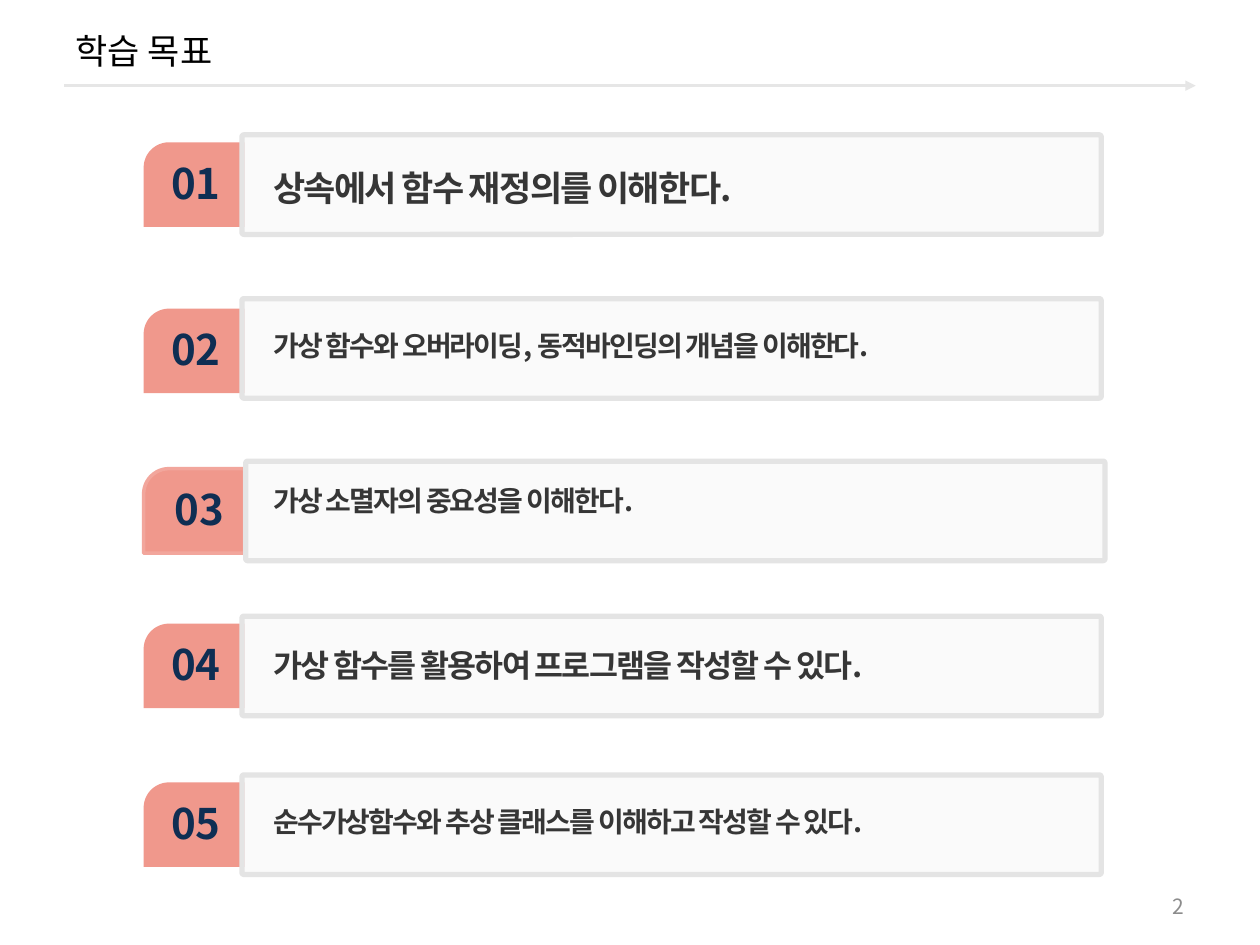
from lxml import etree
from pptx import Presentation
from pptx.dml.color import RGBColor
from pptx.enum.shapes import MSO_CONNECTOR, MSO_SHAPE
from pptx.enum.text import MSO_ANCHOR, MSO_AUTO_SIZE, PP_ALIGN
from pptx.oxml.ns import qn
from pptx.util import Inches, Pt

STRAIGHT = MSO_CONNECTOR.STRAIGHT
TAB, CARD = MSO_SHAPE.SNIP_ROUND_RECTANGLE, MSO_SHAPE.ROUNDED_RECTANGLE
TOP, MIDDLE = MSO_ANCHOR.TOP, MSO_ANCHOR.MIDDLE
LEFT, CENTER, RIGHT = PP_ALIGN.LEFT, PP_ALIGN.CENTER, PP_ALIGN.RIGHT
GROW, FIXED = MSO_AUTO_SIZE.SHAPE_TO_FIT_TEXT, MSO_AUTO_SIZE.NONE

BLACK = RGBColor(0x00, 0x00, 0x00)
GRAY = RGBColor(0x8C, 0x8C, 0x8C)
CHARCOAL = RGBColor(0x36, 0x36, 0x36)
NAVY = RGBColor(0x0F, 0x2E, 0x53)
CORAL = RGBColor(0xF0, 0x98, 0x8C)
CORAL_EDGE = RGBColor(0xF2, 0xA6, 0x9C)
CARD_FILL = RGBColor(0xF2, 0xF2, 0xF2)
CARD_EDGE = RGBColor(0xE4, 0xE4, 0xE4)
RULE = RGBColor(0xE6, 0xE6, 0xE6)
FONT = "Noto Sans CJK KR"

presentation = Presentation()
presentation.slide_width, presentation.slide_height = Inches(10), Inches(7.5)
COLUMN = presentation.slide_width / 100
ROW = presentation.slide_height / 75


def place(left, top, width, height):
    """Turn grid columns and rows into a slide position and size."""
    return (round(left * COLUMN), round(top * ROW),
            round(width * COLUMN), round(height * ROW))


def write_text(shape, text, size, color, bold=False, align=LEFT, anchor=TOP,
               wrap=True, auto_size=FIXED, line_spacing=None, tracking=None):
    frame = shape.text_frame
    frame.word_wrap, frame.auto_size = wrap, auto_size
    frame.vertical_anchor = anchor
    paragraph = frame.paragraphs[0]
    paragraph.alignment = align
    if line_spacing:
        paragraph.line_spacing = line_spacing
    run = paragraph.add_run()
    run.text = text
    run.font.size, run.font.bold, run.font.name = Pt(size), bold, FONT
    run.font.color.rgb = color
    properties = run.font._element
    etree.SubElement(properties, qn("a:ea"), typeface=FONT)
    if tracking:
        properties.set("spc", str(round(tracking * 100)))


slide = presentation.slides.add_slide(presentation.slide_layouts[5])

title = slide.shapes.title
title.left, title.top, title.width, title.height = place(5, 0.8, 90, 6.4)
write_text(title, "학습 목표", 20, BLACK, anchor=MIDDLE)

left, top, width, _ = place(5.1, 6.8, 89.8, 0)
rule = slide.shapes.add_connector(STRAIGHT, left, top, left + width, top)
rule.line.color.rgb, rule.line.width = RULE, Pt(1.5)
etree.SubElement(rule.line._get_or_add_ln(), qn("a:tailEnd"), type="triangle")
etree.SubElement(rule._element.spPr, qn("a:effectLst"))

page_number = slide.shapes.add_textbox(*place(71.7, 70.3, 23.3, 3.2))
write_text(page_number, "2", 12, GRAY, align=RIGHT, anchor=MIDDLE)

# Card top, tab and text drop below it, shift to the right, text size, goal
goals = [
    (10.7, 0.6, 1.7, 0, 20, "상속에서 함수 재정의를 이해한다."),
    (23.7, 0.8, 1.6, 0, 16, "가상 함수와 오버라이딩, 동적바인딩의 개념을 이해한다."),
    (36.6, 0.6, 1.0, 0.3, 16, "가상 소멸자의 중요성을 이해한다."),
    (48.9, 0.6, 1.6, 0, 18, "가상 함수를 활용하여 프로그램을 작성할 수 있다."),
    (61.5, 0.6, 1.6, 0, 16, "순수가상함수와 추상 클래스를 이해하고 작성할 수 있다."),
]

for number, (top, tab_drop, text_drop, shift, size, goal) in enumerate(goals, 1):
    group = slide.shapes.add_group_shape()

    tab = group.shapes.add_shape(TAB, *place(11.4, top + tab_drop, 8, 6.7))
    tab.adjustments[0], tab.adjustments[1] = 0.3, 0
    tab.shadow.inherit = False
    tab.fill.solid()
    tab.fill.fore_color.rgb = CORAL
    if shift:
        tab.line.color.rgb, tab.line.width = CORAL_EDGE, Pt(2)
    else:
        tab.line.fill.background()

    label = group.shapes.add_textbox(
        *place(12.6 + shift, top + tab_drop + 0.7, 5.9, 5))
    write_text(label, f"{number:02}", 24, NAVY, bold=True, align=CENTER,
               wrap=False, auto_size=GROW)

    card = group.shapes.add_shape(CARD, *place(19.2 + shift, top, 68.2, 7.9))
    card.adjustments[0] = 0.02
    card.shadow.inherit = False
    card.fill.solid()
    card.fill.fore_color.rgb = CARD_FILL
    fill_color = card._element.spPr.find(qn("a:solidFill"))[0]
    etree.SubElement(fill_color, qn("a:alpha"), val="33000")
    card.line.color.rgb, card.line.width = CARD_EDGE, Pt(3)

    goal_box = group.shapes.add_textbox(
        *place(20.7, top + text_drop, 66, size * 0.18 + 0.8))
    write_text(goal_box, goal, size, CHARCOAL, bold=True, auto_size=GROW,
               line_spacing=1.1, tracking=-1)

presentation.save("out.pptx")
